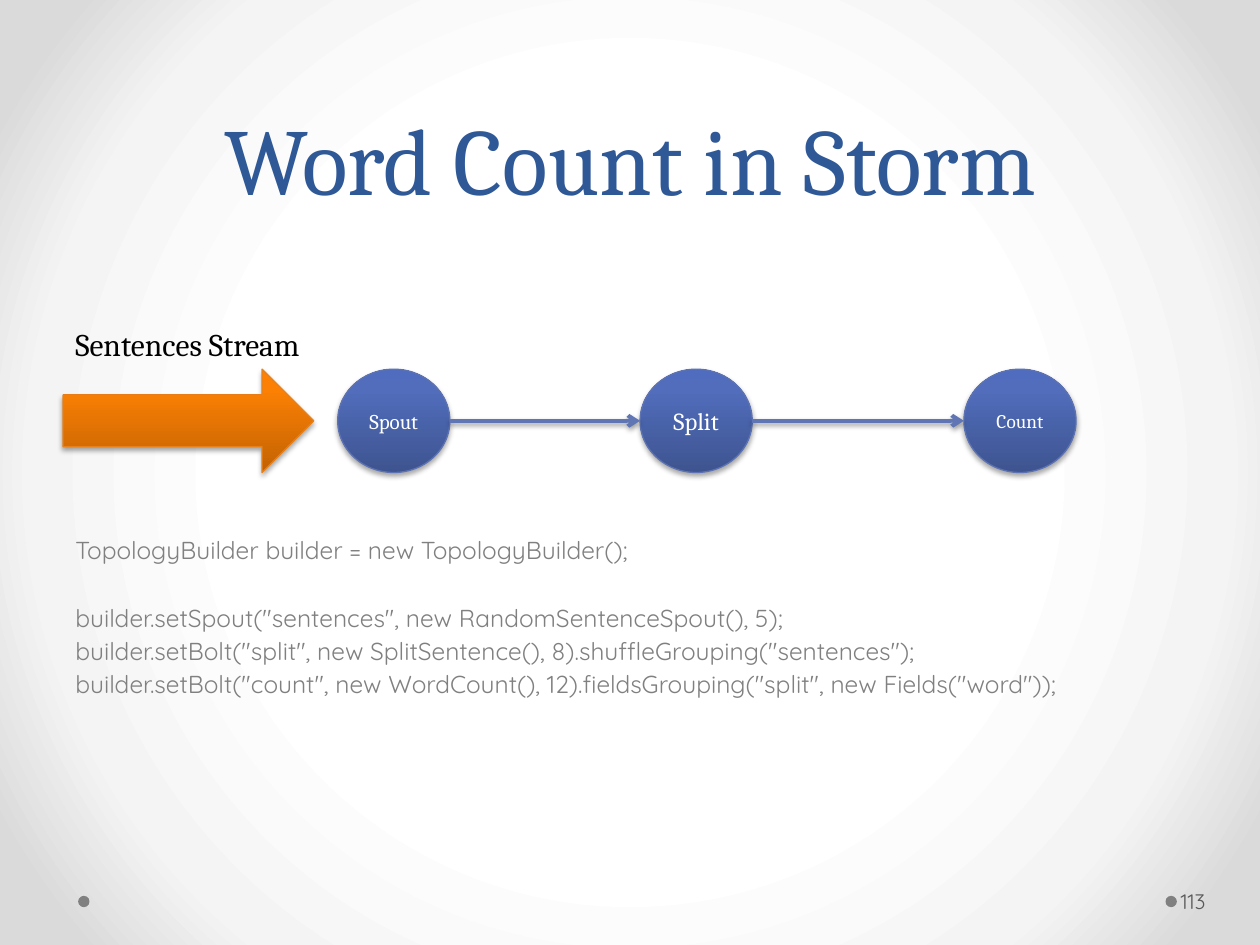
from dataclasses import dataclass
from typing import Any

from lxml import etree
from pptx import Presentation
from pptx.dml.color import RGBColor
from pptx.enum.shapes import MSO_CONNECTOR, MSO_SHAPE
from pptx.enum.text import MSO_ANCHOR, PP_ALIGN
from pptx.oxml import parse_xml
from pptx.oxml.ns import nsdecls, qn
from pptx.util import Inches, Pt

OVAL, ARROW = MSO_SHAPE.OVAL, MSO_SHAPE.RIGHT_ARROW
LINE = MSO_CONNECTOR.STRAIGHT
TOP, MIDDLE, BOTTOM = MSO_ANCHOR.TOP, MSO_ANCHOR.MIDDLE, MSO_ANCHOR.BOTTOM
LEFT, CENTER = PP_ALIGN.LEFT, PP_ALIGN.CENTER

Stops = tuple[tuple[int, str], ...]


@dataclass(frozen=True)
class Theme:
    serif: str = "Cambria"
    sans: str = "Quicksand"
    title: str = "2F5897"
    black: str = "000000"
    white: str = "FFFFFF"
    gray: str = "808080"
    dark: str = "595959"
    link: str = "6076B4"
    blue_edge: str = "5C72B2"
    gold_edge: str = "E6811C"
    blue: Stops = ((0, "3E5490"), (80, "516DBB"), (100, "4F6CBE"))
    gold: Stops = ((0, "C26203"), (80, "FB8004"), (100, "FF8002"))
    back: Stops = ((50, "FFFFFF"), (76, "F4F4F4"), (92, "DADADA"))
    title_size: int = 54
    label_size: int = 18
    code_size: int = 14
    page_size: int = 12


@dataclass(frozen=True)
class Box:
    x: float
    y: float
    w: float
    h: float

    def emu(self) -> tuple[Any, ...]:
        return tuple(Inches(v) for v in (self.x, self.y, self.w, self.h))


@dataclass(frozen=True)
class Node:
    name: str
    x: float
    size: int


@dataclass(frozen=True)
class Row:
    text: str
    gap: float = 0


T = Theme()
ROW_Y, NODE_W, NODE_H = 2.93, 0.89, 0.82
NODES = (Node("Spout", 2.68, 12), Node("Split", 5.08, 14), Node("Count", 7.65, 11))
CODE = (
    Row("TopologyBuilder builder = new TopologyBuilder();"),
    Row('builder.setSpout("sentences", new RandomSentenceSpout(), 5);', 21.7),
    Row('builder.setBolt("split", new SplitSentence(), 8).shuffleGrouping("sentences");', 2.1),
    Row('builder.setBolt("count", new WordCount(), 12).fieldsGrouping("split", new Fields("word"));', 2.1),
)


def apply(item: Any, form: dict[str, Any]) -> None:
    for key, value in form.items():
        setattr(item, key, value)


def grade(stops: Stops, way: str) -> Any:
    marks = "".join(
        f'<a:gs pos="{at * 1000}"><a:srgbClr val="{tone}"/></a:gs>' for at, tone in stops
    )
    return parse_xml(
        f'<a:gradFill {nsdecls("a")} rotWithShape="1"><a:gsLst>{marks}</a:gsLst>{way}</a:gradFill>'
    )


def swap_fill(parent: Any, new: Any) -> None:
    old = parent.find(qn("a:solidFill"))
    parent.replace(old, new)


def shade(shape: Any, alpha: int, dist: float) -> None:
    """Drop a soft shadow straight down."""
    props = shape._element.spPr
    for old in props.findall(qn("a:effectLst")):
        props.remove(old)
    props.append(parse_xml(
        f'<a:effectLst {nsdecls("a")}><a:outerShdw blurRad="{Pt(3.1)}" dist="{Pt(dist)}" '
        f'dir="5400000" rotWithShape="0"><a:srgbClr val="{T.black}">'
        f'<a:alpha val="{alpha * 1000}"/></a:srgbClr></a:outerShdw></a:effectLst>'
    ))


def write(shape: Any, rows: tuple[Row, ...], size: int, font: str, tone: str,
          align: Any = LEFT, **form: Any) -> None:
    frame = shape.text_frame
    apply(frame, {"word_wrap": True, "vertical_anchor": TOP} | form)
    for i, row in enumerate(rows):
        para = frame.add_paragraph() if i else frame.paragraphs[0]
        para.alignment = align
        if row.gap:
            para.space_before = Pt(row.gap)
        run = para.add_run()
        run.text = row.text
        apply(run.font, {"size": Pt(size), "name": font})
        run.font.color.rgb = RGBColor.from_string(tone)


def add_text(slide: Any, box: Box, *args: Any, **form: Any) -> Any:
    shape = slide.shapes.add_textbox(*box.emu())
    write(shape, *args, **form)
    return shape


def add_solid(slide: Any, kind: Any, box: Box, stops: Stops, edge: str) -> Any:
    shape = slide.shapes.add_shape(kind, *box.emu())
    shape.fill.solid()
    swap_fill(shape._element.spPr, grade(stops, '<a:lin ang="16200000" scaled="0"/>'))
    shape.line.color.rgb = RGBColor.from_string(edge)
    shape.line.width = Pt(0.75)
    shade(shape, 35, 1.8)
    return shape


def add_dot(slide: Any, x: float) -> None:
    dot = slide.shapes.add_shape(OVAL, *Box(x, 7.11, 0.09, 0.09).emu())
    dot.shadow.inherit = False
    dot.fill.solid()
    dot.fill.fore_color.rgb = RGBColor.from_string(T.gray)
    dot.line.fill.background()


def add_link(slide: Any, start: Node, end: Node) -> None:
    y = Inches(ROW_Y + NODE_H / 2)
    link = slide.shapes.add_connector(LINE, Inches(start.x + NODE_W), y, Inches(end.x), y)
    link.line.color.rgb = RGBColor.from_string(T.link)
    link.line.width = Pt(2.25)
    etree.SubElement(link.line._get_or_add_ln(), qn("a:tailEnd"), type="arrow")
    shade(link, 38, 1.6)


def main() -> None:
    deck = Presentation()
    apply(deck, {"slide_width": Inches(10), "slide_height": Inches(7.5)})
    slide = deck.slides.add_slide(deck.slide_layouts[6])

    # Background glow
    slide.background.fill.solid()
    way = '<a:path path="circle"><a:fillToRect l="50000" t="50000" r="50000" b="50000"/></a:path>'
    swap_fill(next(slide.element.iter(qn("p:bgPr"))), grade(T.back, way))

    # Footer dots and page number
    for x in (9.25, 0.62):
        add_dot(slide, x)
    add_text(slide, Box(9.34, 6.95, 0.61, 0.4), (Row("113"),), T.page_size, T.sans, T.dark,
             vertical_anchor=MIDDLE, margin_left=Inches(0.03), margin_right=Inches(0.05))

    # Title and code
    title = add_text(slide, Box(0.5, 0, 9, 1.75), (Row("Word Count in Storm"),),
                     T.title_size, T.serif, T.title, CENTER, vertical_anchor=BOTTOM)
    title.text_frame.paragraphs[0].line_spacing = Pt(58)
    add_text(slide, Box(0.5, 4.2, 9, 2.5), CODE, T.code_size, T.sans, T.gray)

    # Topology
    for node in NODES:
        oval = add_solid(slide, OVAL, Box(node.x, ROW_Y, NODE_W, NODE_H), T.blue, T.blue_edge)
        write(oval, (Row(node.name),), node.size, T.serif, T.white, CENTER,
              vertical_anchor=MIDDLE, word_wrap=False)
    add_solid(slide, ARROW, Box(0.5, ROW_Y, 1.99, NODE_H), T.gold, T.gold_edge)
    add_text(slide, Box(0.5, 2.53, 2.14, 0.4), (Row("Sentences Stream"),),
             T.label_size, T.serif, T.black, word_wrap=False)
    for start, end in zip(NODES, NODES[1:]):
        add_link(slide, start, end)

    deck.save("out.pptx")


if __name__ == "__main__":
    main()
